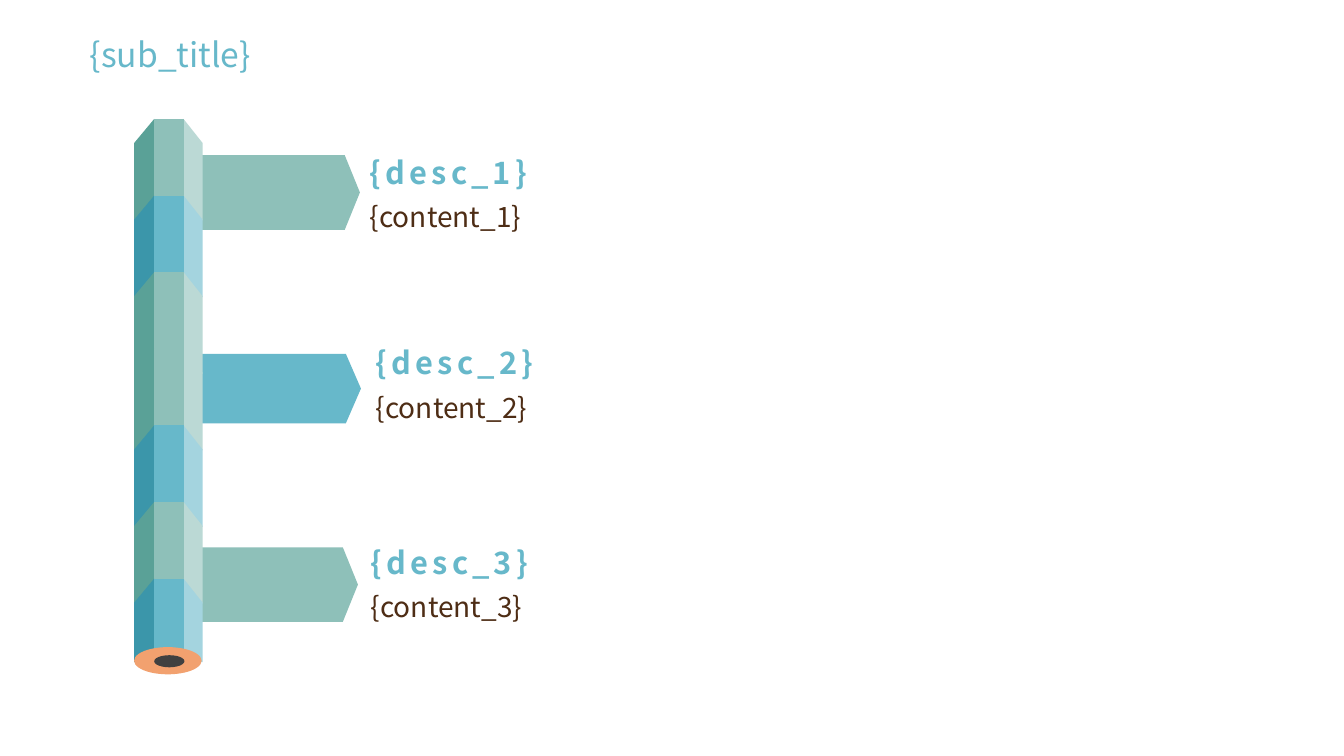
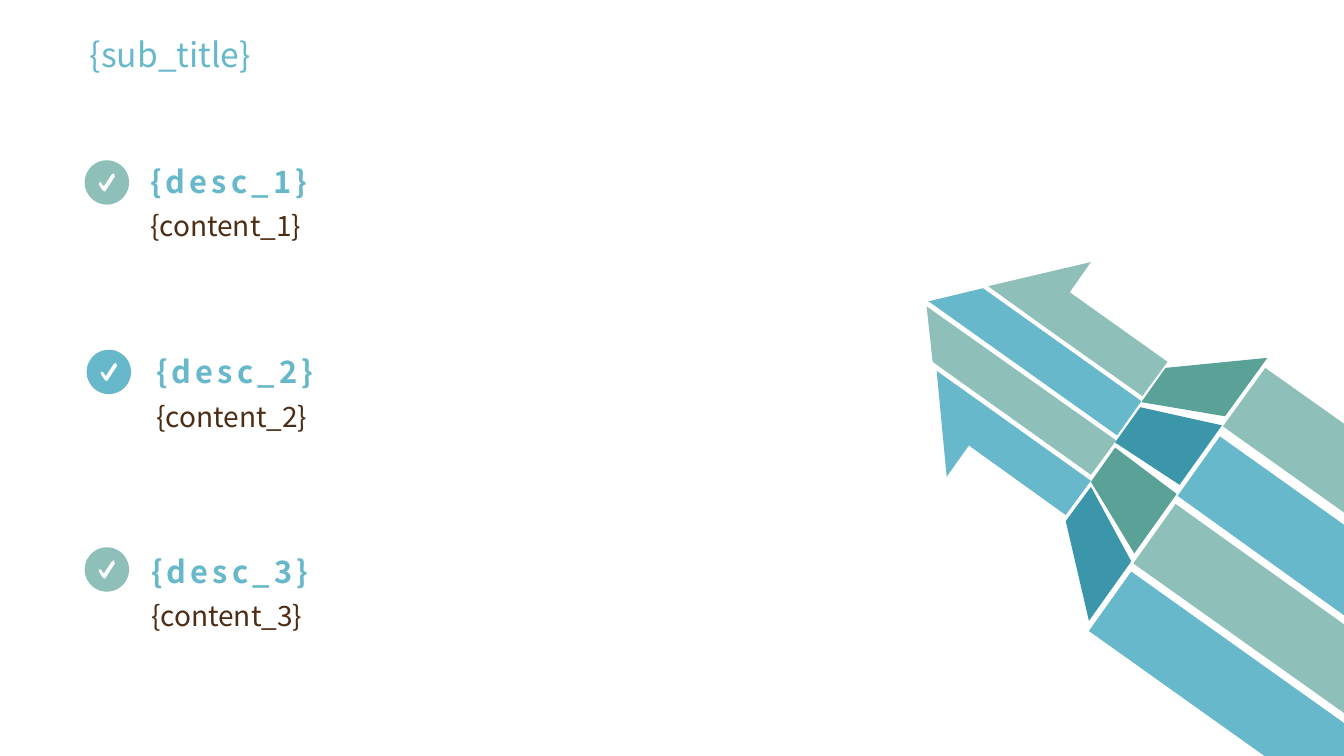
from dataclasses import dataclass

from pptx import Presentation
from pptx.dml.color import RGBColor
from pptx.enum.shapes import MSO_SHAPE
from pptx.enum.text import MSO_ANCHOR, MSO_AUTO_SIZE, PP_ALIGN
from pptx.util import Inches, Pt

OVAL = MSO_SHAPE.OVAL
TOP, MIDDLE, BOTTOM = MSO_ANCHOR.TOP, MSO_ANCHOR.MIDDLE, MSO_ANCHOR.BOTTOM
FIXED, GROW = MSO_AUTO_SIZE.NONE, MSO_AUTO_SIZE.SHAPE_TO_FIT_TEXT
LEFT = PP_ALIGN.LEFT
TITLE_ONLY = 5


@dataclass(frozen=True)
class Theme:
    font: str = "Noto Sans CJK SC"
    title: int = 24
    head: int = 22
    body: int = 20
    sea: str = "8EC0B9"
    sea_dark: str = "5AA197"
    sea_pale: str = "BBD9D5"
    sky: str = "67B8CA"
    sky_dark: str = "3B96AA"
    sky_pale: str = "A4D4DF"
    wood: str = "F2A16F"
    lead: str = "404040"
    brown: str = "4E2D15"
    white: str = "FFFFFF"


THEME = Theme()
SEA = (THEME.sea_dark, THEME.sea, THEME.sea_pale)
SKY = (THEME.sky_dark, THEME.sky, THEME.sky_pale)

BANDS = (SEA, SKY, SEA, SEA, SKY, SEA, SKY)
FLAGS = (
    (1.54, 0.74, 3.57, THEME.sea),
    (3.51, 0.69, 3.58, THEME.sky),
    (5.43, 0.74, 3.55, THEME.sea),
)
FLAG_TEXT = ((3.57, 1.47), (3.63, 3.36), (3.58, 5.34))
CHECK_TEXT = ((1.39, 1.56), (1.45, 3.45), (1.4, 5.43))
BADGES = (
    (0.84, 1.59, THEME.sea),
    (0.86, 3.47, THEME.sky),
    (0.84, 5.43, THEME.sea),
)
TICK = (
    (0.14, 0.24), (0.14, 0.22), (0.16, 0.22), (0.19, 0.26), (0.27, 0.14),
    (0.29, 0.13), (0.3, 0.16), (0.21, 0.3), (0.2, 0.31), (0.18, 0.3),
)
ARROW = (
    (THEME.sea, ((10.82, 2.6), (10.61, 2.9), (11.58, 3.59), (11.33, 3.93),
                 (10.37, 3.25), (9.8, 2.84))),
    (THEME.sea, ((12.55, 3.65), (15.5, 5.74), (15.08, 6.33), (12.13, 4.23))),
    (THEME.sky, ((12.1, 4.33), (15.23, 6.56), (14.8, 7.16), (11.68, 4.92))),
    (THEME.sea, ((11.66, 5), (14.82, 7.26), (14.41, 7.84), (11.24, 5.59))),
    (THEME.sky, ((11.22, 5.67), (14.17, 7.77), (13.75, 8.36), (10.8, 6.26))),
    (THEME.sea_dark, ((11.56, 3.65), (12.57, 3.55), (12.15, 4.13), (11.32, 3.99))),
    (THEME.sky_dark, ((10.57, 5.17), (10.8, 6.16), (11.22, 5.57), (10.82, 4.83))),
    (THEME.sea_dark, ((11.67, 4.9), (11.25, 5.49), (10.82, 4.78), (11.06, 4.44))),
    (THEME.sky_dark, ((11.7, 4.81), (12.12, 4.22), (11.31, 4.04), (11.06, 4.39))),
    (THEME.sky, ((9.29, 3.68), (10.82, 4.77), (10.57, 5.11), (9.61, 4.42),
                 (9.39, 4.73))),
    (THEME.sea, ((9.19, 3.04), (11.07, 4.37), (10.82, 4.71), (9.25, 3.59))),
    (THEME.sky, ((9.75, 2.86), (11.32, 3.98), (11.08, 4.32), (9.21, 2.99))),
)


def write(frame, text, size, color, bold=False, track=0, lead=None,
          anchor=TOP, fit=GROW):
    frame.word_wrap = True
    frame.auto_size = fit
    frame.vertical_anchor = anchor
    para = frame.paragraphs[0]
    para.alignment = LEFT
    if lead:
        para.line_spacing = lead
    run = para.add_run()
    run.text = text
    font = run.font
    font.name = THEME.font
    font.size = Pt(size)
    font.bold = bold
    font.color.rgb = RGBColor.from_string(color)
    if track:
        run._r.get_or_add_rPr().set("spc", str(track * 100))


class Deck:
    def __init__(self, theme):
        self.theme = theme
        self.file = Presentation()
        self.file.slide_width = Inches(13.33)
        self.file.slide_height = Inches(7.5)
        self.slide = None

    def open(self, title):
        layout = self.file.slide_layouts[TITLE_ONLY]
        self.slide = self.file.slides.add_slide(layout)
        box = self.slide.shapes.title
        box.left, box.top = Inches(0.89), Inches(0.26)
        box.width, box.height = Inches(3.48), Inches(0.55)
        frame = box.text_frame
        frame.margin_left = frame.margin_right = 0
        write(frame, title, self.theme.title, self.theme.sky,
              anchor=MIDDLE, fit=FIXED)

    def group(self):
        return self.slide.shapes.add_group_shape().shapes

    def paint(self, shape, color):
        shape.shadow.inherit = False
        shape.fill.solid()
        shape.fill.fore_color.rgb = RGBColor.from_string(color)
        shape.line.fill.background()

    def shard(self, home, points, color):
        spots = [(Inches(x), Inches(y)) for x, y in points]
        pen = home.build_freeform(*spots[0], scale=1.0)
        pen.add_line_segments(spots[1:], close=True)
        self.paint(pen.convert_to_shape(), color)

    def oval(self, home, x, y, wide, high, color):
        shape = home.add_shape(OVAL, Inches(x), Inches(y),
                               Inches(wide), Inches(high))
        self.paint(shape, color)

    def label(self, x, y, high, text, **style):
        box = self.slide.shapes.add_textbox(
            Inches(x), Inches(y), Inches(9), Inches(high))
        write(box.text_frame, text, **style)

    def items(self, spots):
        look = self.theme
        for num, (x, y) in enumerate(spots, 1):
            self.label(x, y, 0.47, f"{{desc_{num}}}", size=look.head,
                       color=look.sky, bold=True, track=3, anchor=BOTTOM)
            self.label(x, y + 0.36, 0.54, f"{{content_{num}}}",
                       size=look.body, color=look.brown, lead=1.3)

    def flag(self, top, high, tip, color):
        edge, foot = tip - 0.15, top + high
        self.shard(self.slide.shapes, (
            (2, top), (edge, top), (tip, top + high / 2),
            (edge, foot), (2, foot)), color)

    def band(self, home, top, tones, last):
        left, inner, outer, right = 1.33, 1.53, 1.82, 2.01
        slope = 0.24
        foot = top + (0.83 if last else 0.77)
        drop = foot if last else foot + slope
        dark, main, pale = tones
        for near, far, color in ((inner, left, dark), (outer, right, pale)):
            self.shard(home, ((near, top), (near, foot), (far, drop),
                              (far, top + slope)), color)
        self.shard(home, ((inner, top), (outer, top), (outer, foot),
                          (inner, foot)), main)

    def pencil(self):
        home = self.group()
        for step, tones in enumerate(BANDS):
            self.band(home, 1.18 + 0.76 * step, tones, step == len(BANDS) - 1)
        self.oval(home, 1.33, 6.42, 0.67, 0.27, self.theme.wood)
        self.oval(home, 1.53, 6.5, 0.3, 0.12, self.theme.lead)

    def badge(self, x, y, color):
        home = self.group()
        self.oval(home, x, y, 0.44, 0.44, color)
        self.shard(home, [(x + dx, y + dy) for dx, dy in TICK],
                   self.theme.white)

    def arrow(self):
        home = self.group()
        for color, points in ARROW:
            self.shard(home, points, color)


def main():
    deck = Deck(THEME)

    deck.open("{sub_title}")
    for flag in FLAGS:
        deck.flag(*flag)
    deck.pencil()
    deck.items(FLAG_TEXT)

    deck.open("{sub_title}")
    deck.arrow()
    for badge in BADGES:
        deck.badge(*badge)
    deck.items(CHECK_TEXT)

    deck.file.save("out.pptx")


if __name__ == "__main__":
    main()
